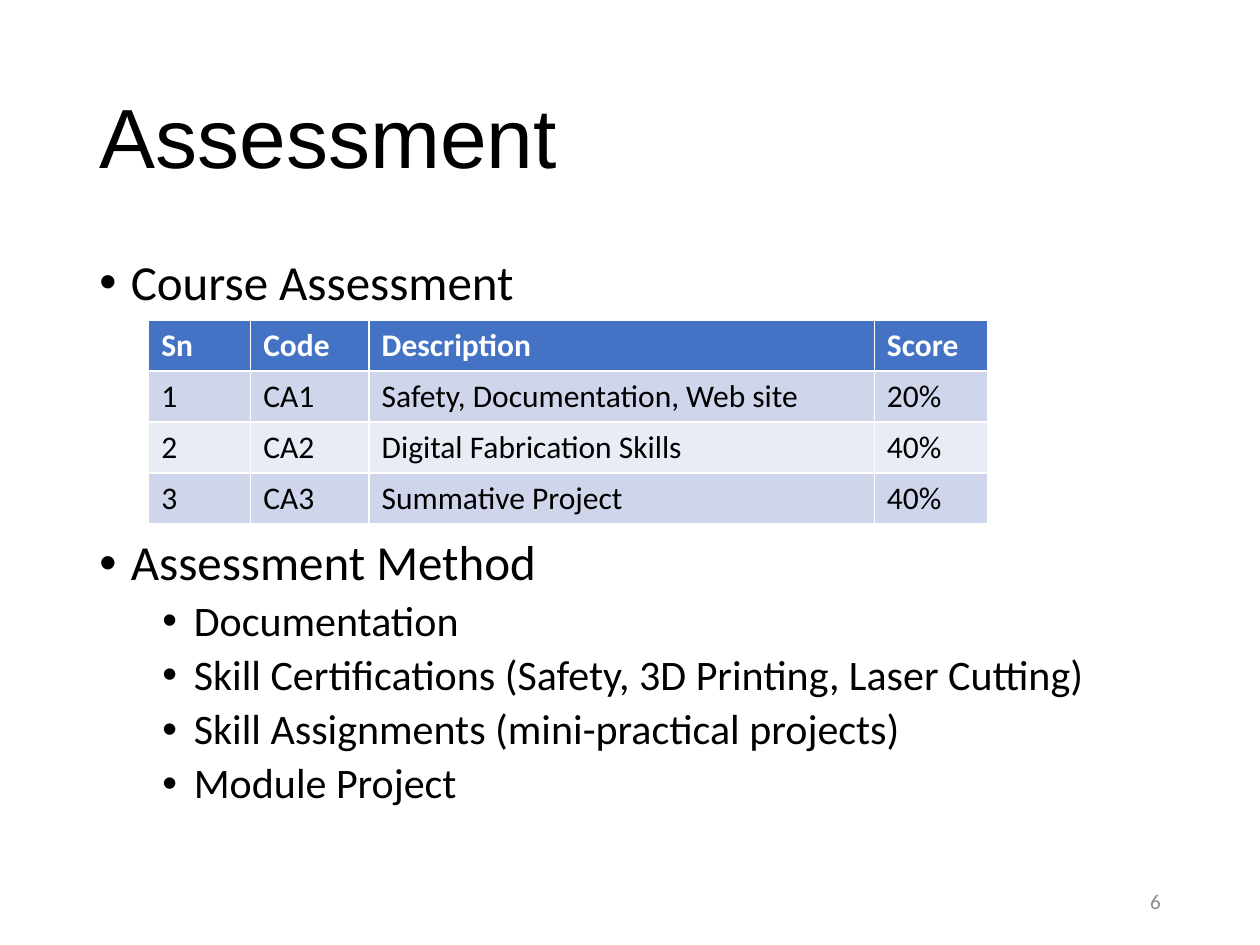
from pptx import Presentation
from pptx.dml.color import RGBColor
from pptx.enum.text import MSO_ANCHOR, MSO_AUTO_SIZE, PP_ALIGN
from pptx.oxml.ns import qn
from pptx.util import Inches, Pt

BLACK = RGBColor(0x00, 0x00, 0x00)
WHITE = RGBColor(0xFF, 0xFF, 0xFF)
GREY = RGBColor(0x8C, 0x8C, 0x8C)
HEADER = RGBColor(0x44, 0x72, 0xC4)
BANDS = [RGBColor(0xE9, 0xEB, 0xF5), RGBColor(0xCF, 0xD5, 0xEA)]

MARGIN, CONTENT_W = Inches(0.69), Inches(8.62)
ROW_H = Inches(0.405)


def add_run(p, text, size, color=BLACK, name="Calibri", bold=False):
    r = p.add_run()
    r.text = text
    r.font.size = Pt(size)
    r.font.name = name
    r.font.bold = bold
    r.font.color.rgb = color


def set_bullet(p, left):
    pPr = p._p.get_or_add_pPr()
    pPr.set("marL", str(Inches(left)))
    pPr.set("indent", str(Inches(-0.25)))
    font = pPr.makeelement(qn("a:buFont"), {"typeface": "Arial"})
    char = pPr.makeelement(qn("a:buChar"), {"char": "•"})
    pPr.extend([font, char])


prs = Presentation()
prs.slide_width, prs.slide_height = Inches(10), Inches(7.5)
s = prs.slides.add_slide(prs.slide_layouts[5])

title = s.shapes.title
title.left, title.top = MARGIN, Inches(0.4)
title.width, title.height = CONTENT_W, Inches(1.45)
tf = title.text_frame
tf.auto_size = MSO_AUTO_SIZE.NONE
tf.vertical_anchor = MSO_ANCHOR.MIDDLE
p = tf.paragraphs[0]
p.alignment = PP_ALIGN.LEFT
p.line_spacing = 0.9
add_run(p, "Assessment", 48, name="Arial")

body = s.shapes.add_textbox(MARGIN, Inches(2), CONTENT_W, Inches(4.76))
tf = body.text_frame
tf.word_wrap = True
items = [
    ("Course Assessment", 0, 10),
    ("Assessment Method", 0, 130),
    ("Documentation", 1, 5),
    ("Skill Certifications (Safety, 3D Printing, Laser Cutting)", 1, 5),
    ("Skill Assignments (mini-practical projects)", 1, 5),
    ("Module Project", 1, 5),
]
for i, (text, level, before) in enumerate(items):
    p = tf.add_paragraph() if i else tf.paragraphs[0]
    p.level = level
    p.line_spacing = 0.9
    p.space_before = Pt(before)
    set_bullet(p, 0.25 + 0.5 * level)
    add_run(p, text, 28 - 4 * level)

number = s.shapes.add_textbox(Inches(7.06), Inches(6.95), Inches(2.25), Inches(0.4))
tf = number.text_frame
tf.word_wrap = True
tf.vertical_anchor = MSO_ANCHOR.MIDDLE
p = tf.paragraphs[0]
p.alignment = PP_ALIGN.RIGHT
add_run(p, "6", 12, GREY)

rows = [
    ("Sn", "Code", "Description", "Score"),
    ("1", "CA1", "Safety, Documentation, Web site", "20%"),
    ("2", "CA2", "Digital Fabrication Skills", "40%"),
    ("3", "CA3", "Summative Project", "40%"),
]
widths = [0.81, 0.94, 4.01, 0.9]
table = s.shapes.add_table(len(rows), len(widths), Inches(1.18), Inches(2.54),
                           Inches(sum(widths)), ROW_H * len(rows)).table
for col, width in zip(table.columns, widths):
    col.width = Inches(width)
for i, row in enumerate(rows):
    table.rows[i].height = ROW_H
    for j, text in enumerate(row):
        cell = table.cell(i, j)
        cell.fill.solid()
        cell.fill.fore_color.rgb = BANDS[i % 2] if i else HEADER
        add_run(cell.text_frame.paragraphs[0], text, 18,
                BLACK if i else WHITE, bold=i == 0)

prs.save("out.pptx")
